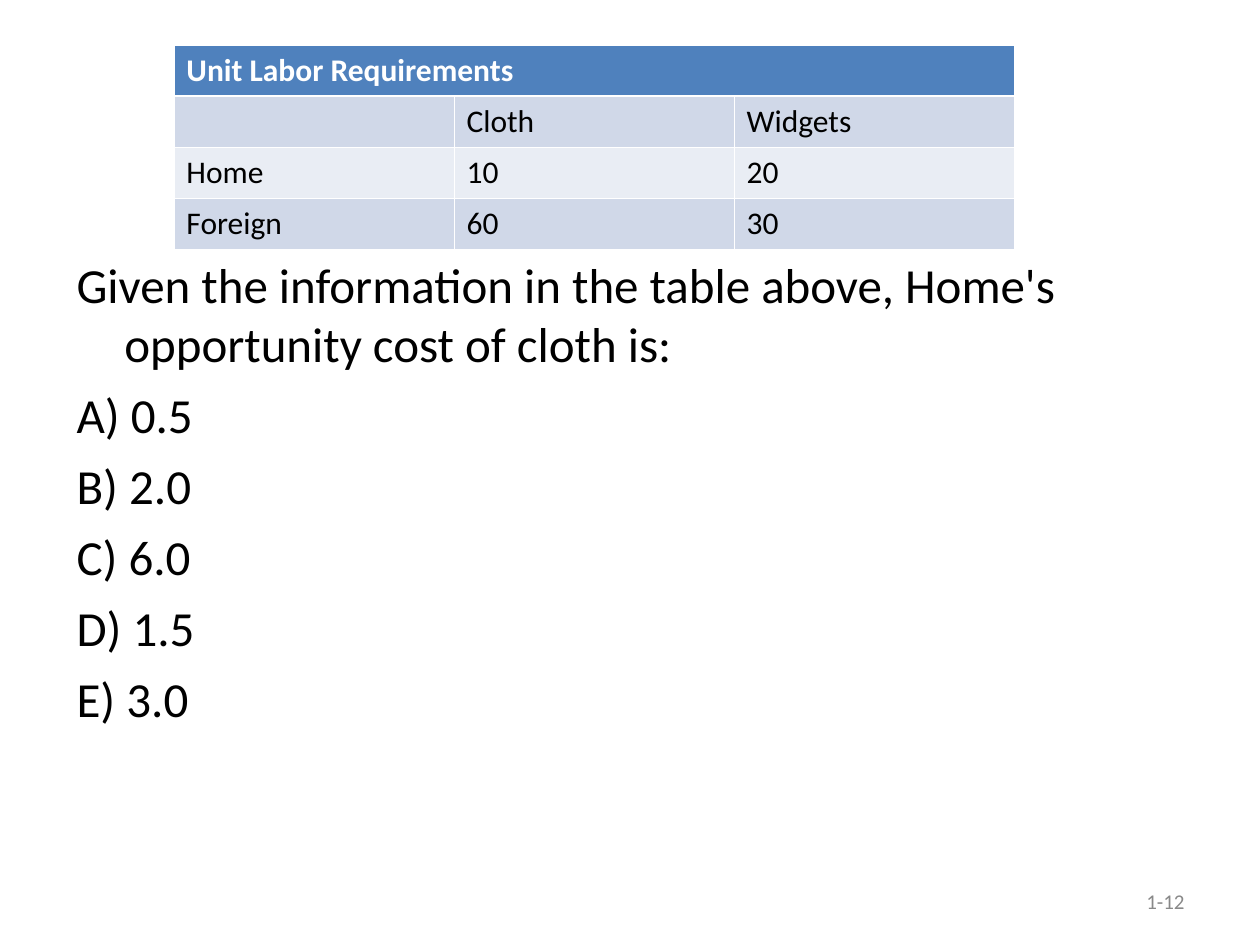
import pptx
import pptx.util
import pptx.dml.color
import pptx.enum.text
import pptx.oxml
from pptx.oxml.ns import nsdecls

Inches, Pt = pptx.util.Inches, pptx.util.Pt

ROWS = [
    ["Unit Labor Requirements", "", ""],
    ["", "Cloth", "Widgets"],
    ["Home", "10", "20"],
    ["Foreign", "60", "30"],
]
FILLS = ["4F81BD", "D0D8E8", "E9EDF4", "D0D8E8"]
LINES = [
    "Given the information in the table above, Home's opportunity cost of cloth is:",
    "A) 0.5",
    "B) 2.0",
    "C) 6.0",
    "D) 1.5",
    "E) 3.0",
]
PAGE = "1-12"


def color(code):
    return pptx.dml.color.RGBColor.from_string(code)


def style(para, size, code, bold=False):
    para.font.name = "Calibri"
    para.font.size = Pt(size)
    para.font.bold = bold
    para.font.color.rgb = color(code)


def add_box(slide, left, top, width, height):
    frame = slide.shapes.add_textbox(
        Inches(left), Inches(top), Inches(width), Inches(height)
    ).text_frame
    frame.word_wrap = True
    return frame


def add_page(slide):
    frame = add_box(slide, 7.17, 6.95, 2.33, 0.4)
    frame.vertical_anchor = pptx.enum.text.MSO_ANCHOR.MIDDLE
    para = frame.paragraphs[0]
    para.text = PAGE
    para.alignment = pptx.enum.text.PP_ALIGN.RIGHT
    style(para, 12, "898989")


def add_question(slide):
    frame = add_box(slide, 0.51, 0.68, 9, 6.02)
    frame.margin_top = Inches(1.34)
    for i, line in enumerate(LINES):
        para = frame.add_paragraph() if i else frame.paragraphs[0]
        para.text = line
        props = para._p.get_or_add_pPr()
        props.set("marL", str(Inches(0.38)))
        props.set("indent", str(Inches(-0.38)))
        para.space_before = Pt(7 if i else 0)
        style(para, 28, "000000")


def add_border(cell, side, width):
    cell._tc.get_or_add_tcPr().append(pptx.oxml.parse_xml(
        f'<a:{side} {nsdecls("a")} w="{Pt(width)}"><a:solidFill>'
        f'<a:srgbClr val="FFFFFF"/></a:solidFill></a:{side}>'
    ))


def add_grid(slide):
    table = slide.shapes.add_table(
        len(ROWS), 3, Inches(1.38), Inches(0.36), Inches(6.67), Inches(1.62)
    ).table
    for r, row in enumerate(ROWS):
        for c, text in enumerate(row):
            cell = table.cell(r, c)
            for side in ("lnL", "lnR", "lnT", "lnB"):
                thick = (r, side) in [(0, "lnB"), (1, "lnT")]
                add_border(cell, side, 1.47 if thick else 0.45)
            cell.fill.solid()
            cell.fill.fore_color.rgb = color(FILLS[r])
            para = cell.text_frame.paragraphs[0]
            para.text = text
            style(para, 18, "000000" if r else "FFFFFF", r == 0)
    table.cell(0, 0).merge(table.cell(0, 2))


def main():
    deck = pptx.Presentation()
    deck.slide_width, deck.slide_height = Inches(10), Inches(7.5)
    slide = deck.slides.add_slide(deck.slide_layouts[6])
    add_page(slide)
    add_question(slide)
    add_grid(slide)
    deck.save("out.pptx")


if __name__ == "__main__":
    main()
